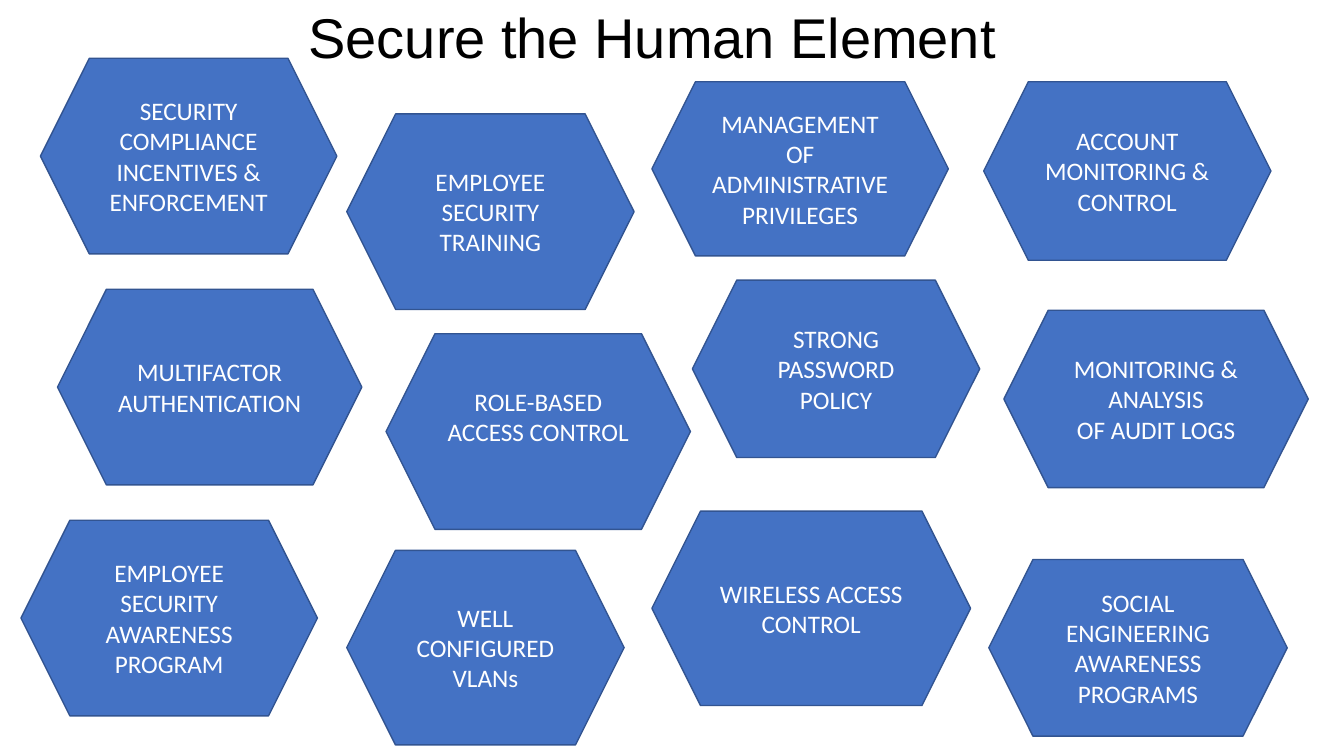
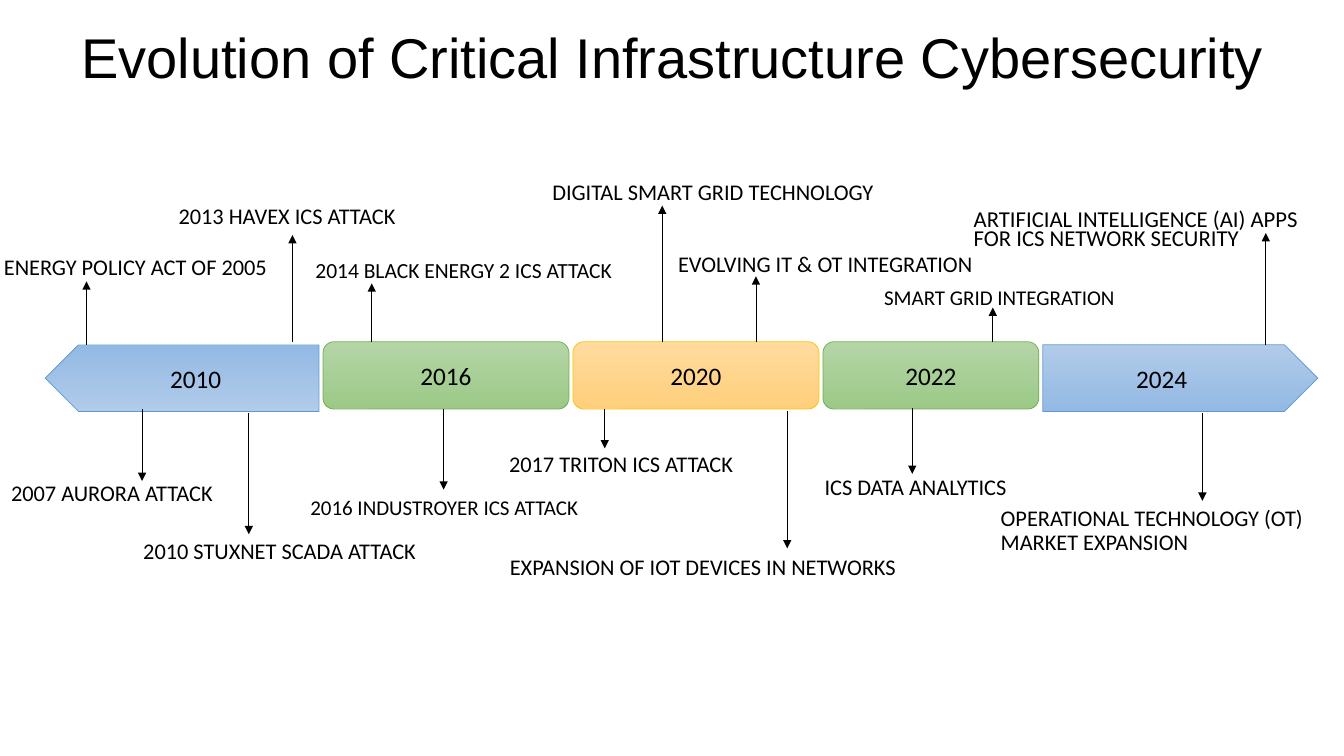
import pptx
import pptx.dml.color
import pptx.enum.shapes
import pptx.enum.text
import pptx.oxml.ns
import pptx.util
from lxml import etree

Cm = pptx.util.Cm
Pt = pptx.util.Pt
Preset = pptx.enum.shapes.MSO_SHAPE
Align = pptx.enum.text.PP_ALIGN
Anchor = pptx.enum.text.MSO_ANCHOR

BLACK, WHITE = "000000", "FFFFFF"
HEXAGON_FILL, HEXAGON_LINE = "4472C4", "325491"
BLUE = ("B1CBE9", "93B9E4", "5B9BD5")
GREEN = ("B5D5A7", "9CC987", "70AD47")
GOLD = ("FFDB9E", "FFD07C", "FFC000")

CONTROLS = [
    ("ROLE-BASED ACCESS CONTROL", 9.73, 8.41, 7.67, 4.93, 0.89),
    ("MONITORING & ANALYSIS\nOF AUDIT LOGS", 25.3, 7.82, 7.67, 4.47),
    ("MULTIFACTOR\nAUTHENTICATION", 1.45, 7.29, 7.67, 4.93),
    ("MANAGEMENT\nOF ADMINISTRATIVE\nPRIVILEGES", 16.43, 2.06, 7.47, 4.39),
    ("WIRELESS ACCESS CONTROL", 16.43, 12.88, 8.03, 4.9),
    ("EMPLOYEE\nSECURITY AWARENESS\nPROGRAM", 0.53, 13.11, 7.47, 4.93),
    ("EMPLOYEE\nSECURITY\nTRAINING", 8.74, 2.87, 7.24, 4.93),
    ("ACCOUNT MONITORING & CONTROL", 24.79, 2.06, 7.24, 4.5),
    ("WELL\nCONFIGURED\nVLANs", 8.74, 13.87, 6.99, 4.9),
    ("SECURITY COMPLIANCE\nINCENTIVES &\nENFORCEMENT", 1.02, 1.47, 7.47, 4.93),
    ("SOCIAL\nENGINEERING\nAWARENESS\nPROGRAMS", 24.92, 14.1, 7.52, 4.45),
    ("STRONG\nPASSWORD\nPOLICY", 17.45, 7.06, 7.24, 4.47),
]

PERIODS = [
    ("", 6.9, BLUE, 180),
    ("2016", 6.2, GREEN, 0),
    ("2020", 6.2, GOLD, 0),
    ("2022", 5.44, GREEN, 0),
    ("", 6.93, BLUE, 0),
]

EVENTS = [
    ("2013 HAVEX ICS ATTACK", 4.5, 5.05, 7.06, 16, 0.9),
    ("2014 BLACK ENERGY 2 ICS ATTACK", 7.95, 6.53, 8.3, 15.4, 0.7),
    ("2010 STUXNET SCADA ATTACK", 3.61, 13.49, 9.27, 16, 0.9),
    ("2016 INDUSTROYER ICS ATTACK", 7.82, 12.4, 8.97, 15, 0.9),
    ("ENERGY POLICY ACT OF 2005", 0.1, 6.32, 8.13, 16, 0.9),
    ("ARTIFICIAL INTELLIGENCE (AI) APPS FOR ICS NETWORK SECURITY",
     24.54, 5.23, 9.22, 16.2, 0.7),
    ("EVOLVING IT & OT INTEGRATION", 17.09, 6.25, 7.92, 16, 0.9),
    ("SMART GRID INTEGRATION", 22.28, 7.11, 7.47, 15, 0.9),
    ("2017 TRITON ICS ATTACK", 12.83, 11.3, 9.86, 16, 0.9),
    ("OPERATIONAL TECHNOLOGY (OT) MARKET EXPANSION",
     25.22, 12.65, 8.4, 16, 0.9),
    ("DIGITAL SMART GRID TECHNOLOGY", 13.92, 4.37, 8.71, 16, 1),
    ("ICS DATA ANALYTICS", 20.78, 11.81, 5.16, 16, 1),
    ("EXPANSION OF IOT DEVICES IN NETWORKS", 12.85, 13.82, 10.39, 16, 1),
    ("2007 AURORA ATTACK", 0.28, 11.94, 5.79, 16, 1),
    ("2010", 4.29, 9.02, 1.8, 18, 1),
    ("2024", 28.63, 9.02, 1.8, 18, 1),
]

ARROWS = [
    (2.18, 8.69, 7.09), (7.37, 8.61, 5.92), (9.37, 8.61, 7.14),
    (16.69, 8.61, 5.18), (19.05, 8.61, 6.96), (25.02, 8.61, 7.75),
    (31.9, 8.69, 5.87), (3.58, 10.31, 12.12), (6.27, 10.41, 13.46),
    (11.18, 10.31, 12.34), (15.24, 10.31, 11.3), (19.84, 10.36, 13.82),
    (22.99, 10.29, 11.94), (30.3, 10.41, 12.62),
]


def color(hex_string):
    return pptx.dml.color.RGBColor.from_string(hex_string)


def write(shape, text, size=18, font="Calibri", ink=BLACK, align=Align.LEFT,
          anchor=Anchor.MIDDLE, spacing=1):
    frame = shape.text_frame
    frame.text = text
    frame.word_wrap = True
    frame.auto_size = pptx.enum.text.MSO_AUTO_SIZE.NONE
    frame.vertical_anchor = anchor
    for paragraph in frame.paragraphs:
        paragraph.alignment = align
        paragraph.line_spacing = spacing
        for run in paragraph.runs:
            run.font.name = font
            run.font.size = Pt(size)
            run.font.color.rgb = color(ink)


class Deck:
    """Holds the presentation, its style and the current slide."""

    def __init__(self):
        self.presentation = pptx.Presentation()
        self.presentation.slide_width = Cm(33.87)
        self.presentation.slide_height = Cm(19.05)
        self.slide = None

    def add_slide(self, title, left, top, width, height, spacing=1):
        layout = self.presentation.slide_layouts[5]
        self.slide = self.presentation.slides.add_slide(layout)
        shape = self.slide.shapes.title
        shape.left, shape.top = Cm(left), Cm(top)
        shape.width, shape.height = Cm(width), Cm(height)
        write(shape, title, size=40, font="Arial", spacing=spacing)

    def add_shape(self, preset, left, top, width, height, line, weight):
        shape = self.slide.shapes.add_shape(
            preset, Cm(left), Cm(top), Cm(width), Cm(height))
        shape.shadow.inherit = False
        shape.line.color.rgb = color(line)
        shape.line.width = Pt(weight)
        return shape

    def add_hexagon(self, text, left, top, width, height, bottom_inset=0.13):
        shape = self.add_shape(
            Preset.HEXAGON, left, top, width, height, HEXAGON_LINE, 1)
        shape.fill.solid()
        shape.fill.fore_color.rgb = color(HEXAGON_FILL)
        write(shape, text, ink=WHITE, align=Align.CENTER)
        shape.text_frame.margin_bottom = Cm(bottom_inset)

    def add_period(self, text, left, width, palette, rotation):
        start, end, line = palette
        if text:
            preset, top, height = Preset.FLOWCHART_ALTERNATE_PROCESS, 8.61, 1.7
        else:
            preset, top, height = Preset.PENTAGON, 8.69, 1.68
        shape = self.add_shape(preset, left, top, width, height, line, 0.5)
        shape.rotation = rotation
        shape.fill.gradient()
        shape.fill.gradient_angle = 270
        for stop, shade, position in zip(
                shape.fill.gradient_stops, (start, end), (0, 1)):
            stop.color.rgb = color(shade)
            stop.position = position
        if text:
            write(shape, text, align=Align.CENTER)

    def add_label(self, text, left, top, width, size, spacing):
        shape = self.slide.shapes.add_textbox(
            Cm(left), Cm(top), Cm(width), Cm(1))
        write(shape, text, size=size, anchor=Anchor.TOP, spacing=spacing)
        shape.text_frame.margin_left = shape.text_frame.margin_right = 0

    def add_arrow(self, x, start, end):
        connector = self.slide.shapes.add_connector(
            pptx.enum.shapes.MSO_CONNECTOR.STRAIGHT,
            Cm(x), Cm(start), Cm(x), Cm(end))
        connector.line.color.rgb = color(BLACK)
        connector.line.width = Pt(0.5)
        qn = pptx.oxml.ns.qn
        properties = connector.element.spPr
        etree.SubElement(
            properties.find(qn("a:ln")), qn("a:tailEnd"), type="triangle")
        etree.SubElement(properties, qn("a:effectLst"))


def main():
    deck = Deck()

    deck.add_slide("Secure the Human Element", 7.52, -0.08, 23.29, 1.96)
    for control in CONTROLS:
        deck.add_hexagon(*control)

    deck.add_slide("Evolution of Critical Infrastructure Cybersecurity",
                   1.8, 0.69, 31.42, 1.68, spacing=0.9)
    left, gap = 1.14, 0.1
    for text, width, palette, rotation in PERIODS:
        deck.add_period(text, left, width, palette, rotation)
        left += width + gap
    for event in EVENTS:
        deck.add_label(*event)
    for arrow in ARROWS:
        deck.add_arrow(*arrow)

    deck.presentation.save("out.pptx")


if __name__ == "__main__":
    main()
